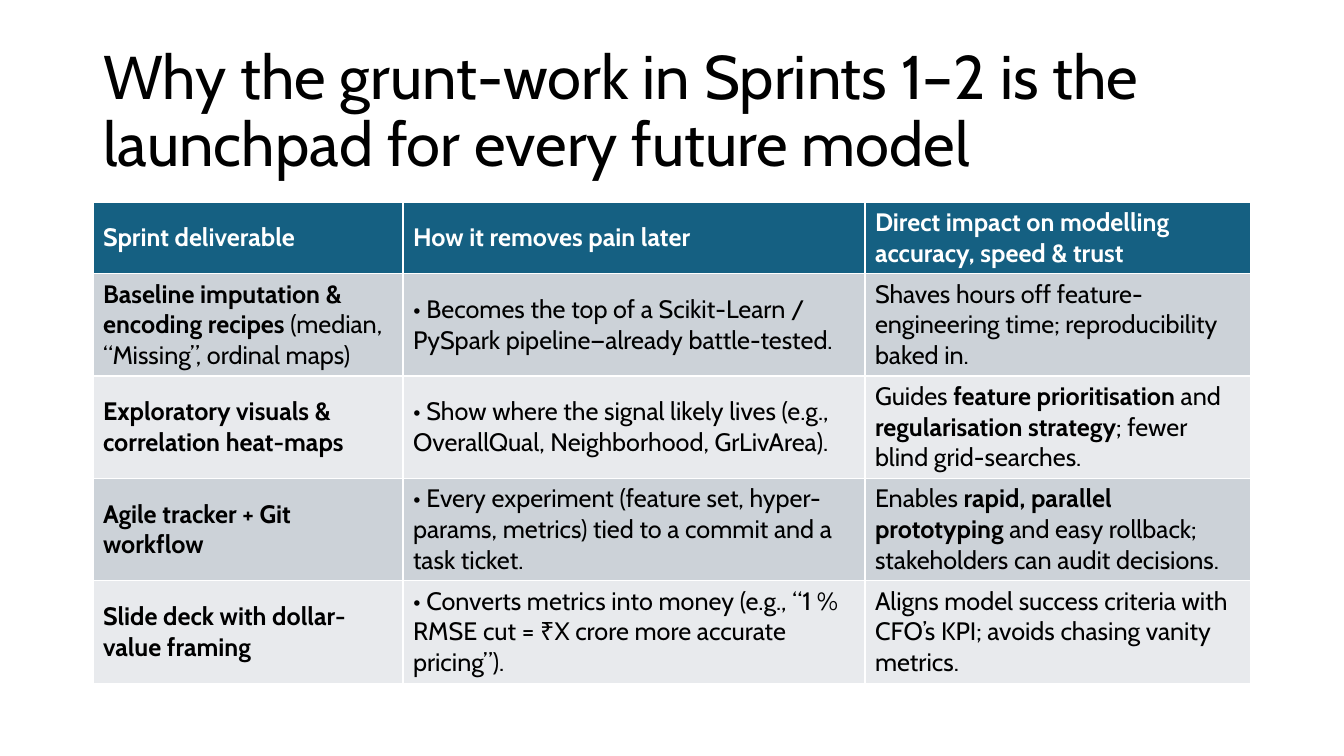
"""Build a slide with a table on why early sprint work pays off."""
from pptx import Presentation
from pptx.dml.color import RGBColor as Rgb
from pptx.enum.text import MSO_ANCHOR as Anchor, MSO_AUTO_SIZE as Fit, PP_ALIGN as Align
from pptx.util import Pt

TITLE = "Why the grunt-work in Sprints 1–2 is the launchpad for every future model"
HEAD = ("Sprint deliverable", "How it removes pain later",
        "Direct impact on modelling accuracy, speed & trust")
BODY = [
    ("**Baseline imputation & encoding recipes** (median, “Missing”, ordinal maps)",
     "• Becomes the top of a Scikit-Learn / PySpark pipeline—already battle-tested.",
     "Shaves hours off feature-engineering time; reproducibility baked in."),
    ("**Exploratory visuals & correlation heat-maps**",
     "• Show where the signal likely lives (e.g., OverallQual, Neighborhood, GrLivArea).",
     "Guides **feature prioritisation** and **regularisation strategy**; "
     "fewer blind grid-searches."),
    ("**Agile tracker + Git workflow**",
     "• Every experiment (feature set, hyper-params, metrics) tied to a commit and a "
     "task ticket.",
     "Enables **rapid, parallel prototyping** and easy rollback; "
     "stakeholders can audit decisions."),
    ("**Slide deck with dollar-value framing**",
     "• Converts metrics into money (e.g., “1 % RMSE cut = ₹X crore more accurate "
     "pricing”).",
     "Aligns model success criteria with CFO’s KPI; avoids chasing vanity metrics."),
]
ROWS = [[f"**{text}**" for text in HEAD]] + BODY
COLS = (310, 462, 386)
TALL = (70, 102, 102, 102, 102)
LEFT, TOP = 93, 202
HUES = {"head": "156082", "odd": "CCD2D8", "even": "E8EAED",
        "ink": "000000", "white": "FFFFFF"}
FONT = "Cabin"


def px(num):
    """Turn pixels into EMU."""
    return round(num * 914400 / 100.8)


def style(run, size, hue, bold=False):
    """Format one run."""
    font = run.font
    font.name, font.size, font.bold = FONT, Pt(size), bold
    font.color.rgb = Rgb.from_string(HUES[hue])


def add_title(slide):
    """Place and format the title."""
    title = slide.shapes.title
    title.left, title.top, title.width, title.height = map(px, (LEFT, 40, 1159, 146))
    frame = title.text_frame
    frame.text = TITLE
    frame.auto_size, frame.vertical_anchor = Fit.NONE, Anchor.MIDDLE
    para = frame.paragraphs[0]
    para.alignment, para.line_spacing = Align.LEFT, 0.9
    style(para.runs[0], 44, "ink")


def fill_cell(cell, text, fill, ink):
    """Write text with **bold** parts into a filled cell."""
    cell.fill.solid()
    cell.fill.fore_color.rgb = Rgb.from_string(HUES[fill])
    cell.vertical_anchor = Anchor.MIDDLE
    para = cell.text_frame.paragraphs[0]
    for num, part in enumerate(text.split("**")):
        if part:
            run = para.add_run()
            run.text = part
            style(run, 18, ink, num % 2 == 1)


def add_grid(slide):
    """Add the table of deliverables."""
    size = map(px, (LEFT, TOP, sum(COLS), sum(TALL)))
    table = slide.shapes.add_table(len(ROWS), len(COLS), *size).table
    for col, wide in zip(table.columns, COLS):
        col.width = px(wide)
    for row, (texts, tall) in enumerate(zip(ROWS, TALL)):
        table.rows[row].height = px(tall)
        fill = "head" if row == 0 else "odd" if row % 2 else "even"
        ink = "ink" if row else "white"
        for col, text in enumerate(texts):
            fill_cell(table.cell(row, col), text, fill, ink)


def main():
    """Build and save the slide."""
    deck = Presentation()
    deck.slide_width, deck.slide_height = px(1344), px(756)
    slide = deck.slides.add_slide(deck.slide_layouts[5])
    add_title(slide)
    add_grid(slide)
    deck.save("out.pptx")


if __name__ == "__main__":
    main()
